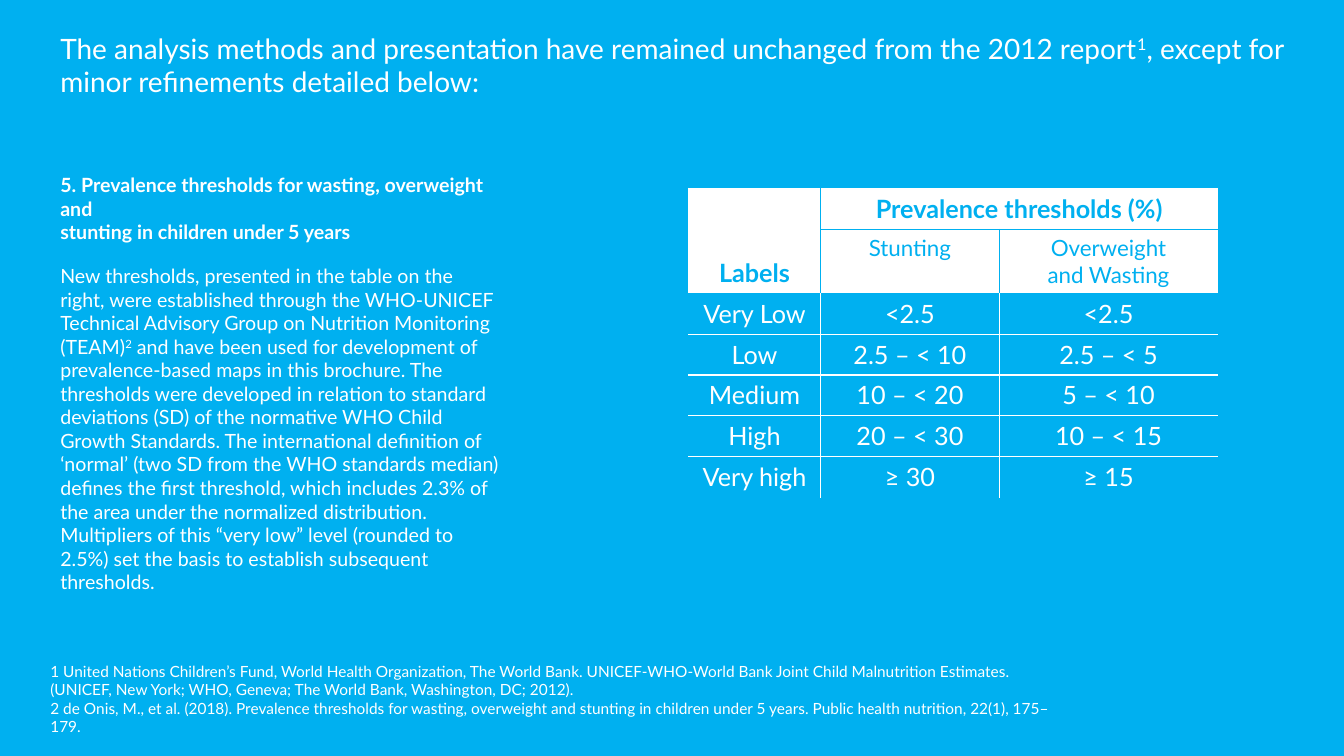
import pptx
import pptx.dml.color
import pptx.enum.text
import pptx.oxml
import pptx.oxml.ns
import pptx.util

Cm = pptx.util.Cm
Pt = pptx.util.Pt
ALIGN = pptx.enum.text.PP_ALIGN
ANCHOR = pptx.enum.text.MSO_ANCHOR
SKY = "00B0F0"
WHITE = "FFFFFF"


def tint(code):
    return pptx.dml.color.RGBColor.from_string(code)


class Page:
    face = "Lato"

    def __init__(self, deck):
        self.slide = deck.slides.add_slide(deck.slide_layouts[6])
        fill = self.slide.background.fill
        fill.solid()
        fill.fore_color.rgb = tint(SKY)

    def put(self, item, style):
        for name, value in style.items():
            setattr(item, name, value)

    def words(self, para, parts, size, color=WHITE, bold=False):
        for text, raised in parts:
            run = para.add_run()
            run.text = text
            self.put(run.font, {"name": self.face, "size": Pt(size), "bold": bold})
            run.font.color.rgb = tint(color)
            if raised:
                run._r.get_or_add_rPr().set("baseline", "30000")

    def text(self, area, paras, size):
        frame = self.slide.shapes.add_textbox(*map(Cm, area)).text_frame
        self.put(frame, {"word_wrap": True,
                         "auto_size": pptx.enum.text.MSO_AUTO_SIZE.SHAPE_TO_FIT_TEXT})
        for i, (parts, bold, after) in enumerate(paras):
            para = frame.add_paragraph() if i else frame.paragraphs[0]
            para.space_after = Pt(after)
            self.words(para, parts, size, bold=bold)

    def edge(self, cell, side, color):
        paint = f'<a:solidFill><a:srgbClr val="{color}"/></a:solidFill>' if color else "<a:noFill/>"
        cell._tc.get_or_add_tcPr().append(pptx.oxml.parse_xml(
            f'<a:ln{side} {pptx.oxml.ns.nsdecls("a")} w="12700">{paint}</a:ln{side}>'))

    def cell(self, cell, lines, size, color, bold, anchor, back, edges):
        cell.vertical_anchor = anchor
        for side, shade in zip("LRTB", edges):
            self.edge(cell, side, shade)
        if back:
            cell.fill.solid()
            cell.fill.fore_color.rgb = tint(back)
        else:
            cell.fill.background()
        for i, line in enumerate(lines):
            para = cell.text_frame.add_paragraph() if i else cell.text_frame.paragraphs[0]
            para.alignment = ALIGN.CENTER
            self.words(para, [(line, False)], size, color, bold)

    def table(self, area, wides, highs, rows):
        grid = self.slide.shapes.add_table(len(rows), len(wides), *map(Cm, area)).table
        self.put(grid, {"first_row": False, "horz_banding": False})
        for col, wide in zip(grid.columns, wides):
            col.width = Cm(wide)
        for row, high in zip(grid.rows, highs):
            row.height = Cm(high)
        grid.cell(0, 0).merge(grid.cell(1, 0))
        grid.cell(0, 1).merge(grid.cell(0, 2))
        last = len(rows) - 1
        for r, row in enumerate(rows):
            head = r < 2
            inner, outer = (SKY, WHITE) if head else (WHITE, None)
            top = SKY if r in (1, 2) else WHITE
            base = SKY if head else None if r == last else WHITE
            for c, lines in enumerate(row):
                cell = grid.cell(r, c)
                if cell.is_spanned:
                    continue
                right = c == 2 or (r == 0 and c == 1)
                edges = (inner if c else outer, outer if right else inner, top, base)
                self.cell(cell, lines, 16 if r == 1 else 18, SKY if head else WHITE,
                          r == 0, ANCHOR.BOTTOM if r == c == 0 else ANCHOR.TOP,
                          WHITE if head else None, edges)


def main():
    deck = pptx.Presentation()
    deck.slide_width, deck.slide_height = Cm(33.87), Cm(19.05)
    page = Page(deck)
    page.text((1.27, 4.24, 11.63, 11.96), [
        ([("5. Prevalence thresholds for wasting, overweight and", False)], True, 0),
        ([("stunting in children under 5 years", False)], True, 14.5),
        ([("New thresholds, presented in the table on the right, were established through "
           "the WHO-UNICEF Technical Advisory Group on Nutrition Monitoring (TEAM)", False),
          ("2", True),
          (" and have been used for development of prevalence-based maps in this brochure. "
           "The thresholds were developed in relation to standard deviations (SD) of the "
           "normative WHO Child Growth Standards. The international definition of ‘normal’ "
           "(two SD from the WHO standards median) defines the first threshold, which "
           "includes 2.3% of the area under the normalized distribution. Multipliers of this "
           "“very low” level (rounded to 2.5%) set the basis to establish subsequent "
           "thresholds.", False)], False, 0),
    ], 14)
    page.text((1.27, 0.66, 32.18, 1.96), [
        ([("The analysis methods and presentation have remained unchanged from the 2012 report",
           False), ("1", True), (", except for minor refinements detailed below:", False)],
         False, 0),
    ], 20)
    page.text((1.02, 16.56, 26.29, 2.13), [
        ([("1 United Nations Children’s Fund, World Health Organization, The World Bank. "
           "UNICEF-WHO-World Bank Joint Child Malnutrition Estimates. (UNICEF, New York; "
           "WHO, Geneva; The World Bank, Washington, DC; 2012).", False)], False, 0),
        ([("2 de Onis, M., et al. (2018). Prevalence thresholds for wasting, overweight and "
           "stunting in children under 5 years. Public health nutrition, 22(1), 175–179.",
           False)], False, 0),
    ], 11)
    page.table((17.35, 4.75, 13.34, 7.79), (3.33, 4.5, 5.51), [1.03, 1.61] + [1.03] * 5, [
        (["Labels"], ["Prevalence thresholds (%)"], []),
        ([], ["Stunting"], ["Overweight", "and Wasting"]),
        (["Very Low"], ["<2.5"], ["<2.5"]),
        (["Low"], ["2.5 – < 10"], ["2.5 – < 5"]),
        (["Medium"], ["10 – < 20"], ["5 – < 10"]),
        (["High"], ["20 – < 30"], ["10 – < 15"]),
        (["Very high"], ["≥ 30"], ["≥ 15"]),
    ])
    deck.save("out.pptx")


if __name__ == "__main__":
    main()
